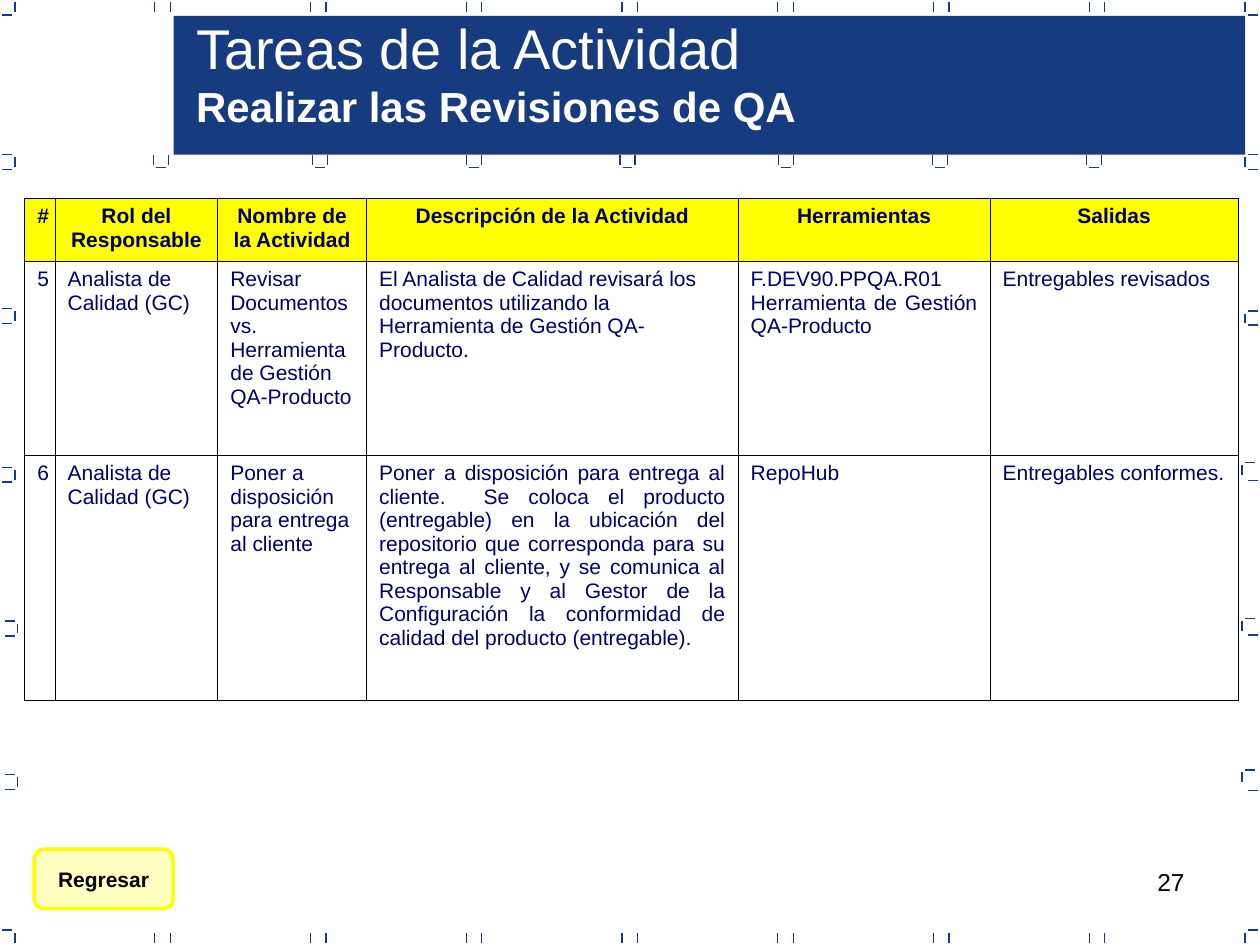
from dataclasses import dataclass

from lxml.etree import SubElement
from pptx import Presentation
from pptx.dml.color import RGBColor
from pptx.enum.shapes import MSO_CONNECTOR, MSO_SHAPE
from pptx.enum.text import MSO_ANCHOR, MSO_AUTO_SIZE, PP_ALIGN
from pptx.oxml.ns import qn
from pptx.util import Cm, Pt


@dataclass(frozen=True)
class Theme:
    font: str = "Arial"
    navy: str = "163B7F"
    ink: str = "000066"
    yellow: str = "FFFF00"
    white: str = "FFFFFF"
    black: str = "000000"
    title: float = 32
    subtitle: float = 24
    number: float = 14
    body: float = 12
    tick: float = 0.75
    border: float = 0.45
    outline: float = 2


LEFT, CENTER, RIGHT, JUSTIFY = (
    PP_ALIGN.LEFT, PP_ALIGN.CENTER, PP_ALIGN.RIGHT, PP_ALIGN.JUSTIFY)
TICK, GAP = 0.2, 0.05  # length of a tick, space between neighbouring ticks

HEADERS = ["#", "Rol del Responsable", "Nombre de la Actividad",
           "Descripción de la Actividad", "Herramientas", "Salidas"]
TASKS = [
    ["5", "Analista de Calidad (GC)",
     "Revisar Documentos vs. Herramienta de Gestión QA-Producto",
     "El Analista de Calidad revisará los documentos utilizando la "
     "Herramienta de Gestión QA-Producto.",
     "F.DEV90.PPQA.R01 Herramienta de Gestión QA-Producto",
     "Entregables revisados"],
    ["6", "Analista de Calidad (GC)",
     "Poner a disposición para entrega al cliente",
     "Poner a disposición para entrega al cliente.  Se coloca el producto "
     "(entregable) en la ubicación del repositorio que corresponda para su "
     "entrega al cliente, y se comunica al Responsable y al Gestor de la "
     "Configuración la conformidad de calidad del producto (entregable).",
     "RepoHub", "Entregables conformes."],
]
ALIGNMENTS = [
    [CENTER] * 6,
    [CENTER, LEFT, LEFT, LEFT, JUSTIFY, LEFT],
    [CENTER, LEFT, LEFT, JUSTIFY, LEFT, LEFT],
]


class SlideBuilder:
    def __init__(self, slide, theme):
        self.s = slide
        self.theme = theme

    def format(self, p, size, color, bold=False, align=LEFT):
        p.alignment = align
        for r in p.runs:
            r.font.name = self.theme.font
            r.font.size = Pt(size)
            r.font.bold = bold
            r.font.color.rgb = RGBColor.from_string(color)

    def line(self, x1, y1, x2, y2):
        ln = self.s.shapes.add_connector(
            MSO_CONNECTOR.STRAIGHT, Cm(x1), Cm(y1), Cm(x2), Cm(y2))
        ln.line.color.rgb = RGBColor.from_string(self.theme.navy)
        ln.line.width = Pt(self.theme.tick)
        SubElement(ln._element.spPr, qn("a:effectLst"))

    def bar(self, x, y):
        self.line(x, y, x + TICK, y)

    def post(self, x, y):
        self.line(x, y, x, y + TICK)

    def edge_mark(self, x, y, on_left, top=True, bottom=True):
        """Draw a post with optional bars above and below, opening outwards."""
        bar_x = x if on_left else x + GAP
        self.post(x + TICK + GAP if on_left else x, y + GAP)
        if top:
            self.bar(bar_x, y)
        if bottom:
            self.bar(bar_x, y + TICK + 2 * GAP)

    def shape(self, kind, x, y, w, h, fill, line=None):
        sp = self.s.shapes.add_shape(kind, Cm(x), Cm(y), Cm(w), Cm(h))
        sp.shadow.inherit = False
        sp.fill.solid()
        sp.fill.fore_color.rgb = RGBColor.from_string(fill)
        if line:
            sp.line.color.rgb = RGBColor.from_string(line)
            sp.line.width = Pt(self.theme.outline)
        else:
            sp.line.fill.background()
        return sp

    def button(self, text, x, y, w, h):
        t = self.theme
        sp = self.shape(MSO_SHAPE.FLOWCHART_ALTERNATE_PROCESS, x, y, w, h,
                        t.yellow, t.yellow)
        color = sp._element.spPr.find(qn("a:solidFill"))[0]
        SubElement(color, qn("a:alpha"), val="25000")
        tf = sp.text_frame
        tf.word_wrap = False
        tf.vertical_anchor = MSO_ANCHOR.MIDDLE
        tf.text = text
        self.format(tf.paragraphs[0], t.body, t.black, True, CENTER)

    def title(self, title, subtitle, x, y, w, h):
        t = self.theme
        sp = self.s.shapes.title
        self.s.shapes._spTree.append(sp._element)  # in front of the band
        sp.left, sp.top, sp.width, sp.height = Cm(x), Cm(y), Cm(w), Cm(h)
        tf = sp.text_frame
        tf.text = f"{title}\n{subtitle}"
        tf.word_wrap = True
        tf.auto_size = MSO_AUTO_SIZE.NONE
        tf.vertical_anchor = MSO_ANCHOR.TOP
        self.format(tf.paragraphs[0], t.title, t.white)
        self.format(tf.paragraphs[1], t.subtitle, t.white, True)

    def page_number(self, number, x, y, w, h):
        tf = self.s.shapes.add_textbox(Cm(x), Cm(y), Cm(w), Cm(h)).text_frame
        tf.word_wrap = True
        tf.text = str(number)
        self.format(tf.paragraphs[0], self.theme.number, self.theme.black,
                    align=RIGHT)

    def borders(self, cell):
        tc_pr = cell._tc.get_or_add_tcPr()
        for side in ("lnL", "lnR", "lnT", "lnB"):
            ln = SubElement(tc_pr, qn(f"a:{side}"),
                            w=str(Pt(self.theme.border)))
            fill = SubElement(ln, qn("a:solidFill"))
            SubElement(fill, qn("a:srgbClr"), val=self.theme.black)

    def table(self, rows, alignments, x, y, widths, heights):
        t = self.theme
        tbl = self.s.shapes.add_table(
            len(rows), len(widths), Cm(x), Cm(y),
            Cm(sum(widths)), Cm(sum(heights))).table
        for col, width in zip(tbl.columns, widths):
            col.width = Cm(width)
        for i, (texts, aligns) in enumerate(zip(rows, alignments)):
            tbl.rows[i].height = Cm(heights[i])
            for j, (text, align) in enumerate(zip(texts, aligns)):
                cell = tbl.cell(i, j)
                cell.text = text
                self.format(cell.text_frame.paragraphs[0], t.body, t.ink,
                            i == 0, align)
                self.borders(cell)
                if i == 0:
                    cell.fill.solid()
                    cell.fill.fore_color.rgb = RGBColor.from_string(t.yellow)
                else:
                    cell.fill.background()

    def frame(self):
        """Draw the registration marks around the slide and below the band."""
        for i in range(7):
            x = 3.12 + 3.14 * i
            for y in (0.05, 18.8):
                self.post(x, y)
                self.post(x + 0.31, y)
        for x in (3.1, 6.3, 9.4, 12.5, 15.7, 18.8, 21.9):
            self.post(x, 3.12)
            self.post(x + 0.3, 3.12)
            self.bar(x + GAP, 3.38)
        for x, on_left in ((0.05, True), (25.1, False)):
            self.edge_mark(x, 0, on_left, top=False)
            self.edge_mark(x, 3.12, on_left)
            self.edge_mark(x, 18.75, on_left, bottom=False)
        for x, y in ((0.05, 6.22), (0.05, 9.42), (0.1, 12.52), (0.1, 15.62)):
            self.edge_mark(x, y, True)
        for x, y, low_y in ((25.1, 6.27, 6.55), (25.04, 9.32, 9.68),
                            (25.04, 12.47, 12.8), (25.04, 15.52, 15.93)):
            self.edge_mark(x, y, False, bottom=False)
            self.bar(25.15, low_y)


def main():
    prs = Presentation()
    prs.slide_width, prs.slide_height = Cm(25.4), Cm(19.05)
    theme = Theme()
    b = SlideBuilder(prs.slides.add_slide(prs.slide_layouts[5]), theme)
    b.page_number(27, 18.21, 17.35, 5.92, 1.32)
    b.frame()
    b.shape(MSO_SHAPE.RECTANGLE, 3.5, 0.32, 21.6, 2.8, theme.navy)
    b.table([HEADERS, *TASKS], ALIGNMENTS, 0.5, 4,
            [0.61, 3.28, 3, 7.49, 5.08, 5], [1.27, 3.91, 4.93])
    b.title("Tareas de la Actividad", "Realizar las Revisiones de QA",
            3.7, 0.15, 16.6, 2.64)
    b.button("Regresar", 0.69, 17.12, 2.8, 1.2)
    prs.save("out.pptx")


if __name__ == "__main__":
    main()
